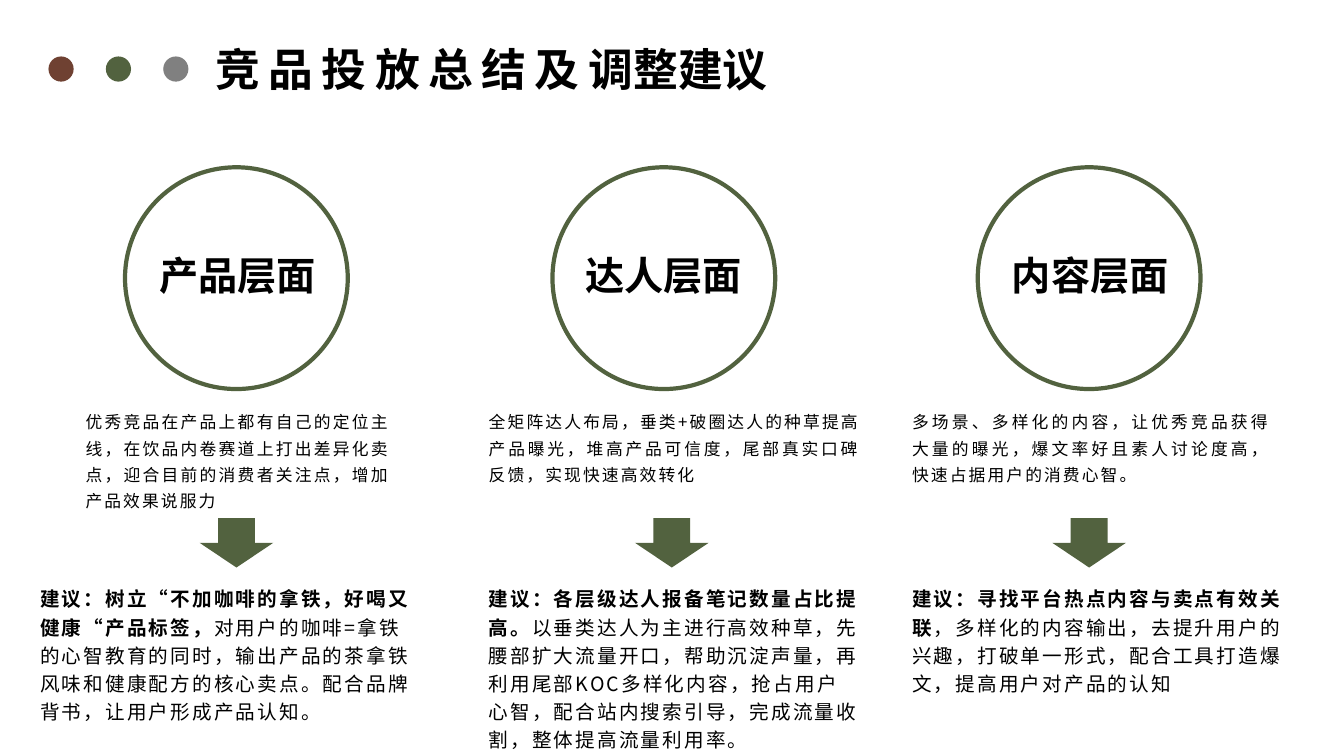
from lxml import etree
from pptx import Presentation
from pptx.dml.color import RGBColor
from pptx.enum.shapes import MSO_SHAPE
from pptx.enum.text import MSO_ANCHOR, MSO_AUTO_SIZE, PP_ALIGN
from pptx.oxml.ns import qn
from pptx.util import Pt

ELLIPSE = MSO_SHAPE.OVAL
DOWN_ARROW = MSO_SHAPE.DOWN_ARROW
TOP = MSO_ANCHOR.TOP
GROW = MSO_AUTO_SIZE.SHAPE_TO_FIT_TEXT
FIXED = MSO_AUTO_SIZE.NONE
LEFT, CENTER, JUSTIFY = PP_ALIGN.LEFT, PP_ALIGN.CENTER, PP_ALIGN.JUSTIFY

GREEN, BROWN, GRAY, BLACK = "52623F", "6F4132", "808080", "000000"


def color(value):
    return RGBColor.from_string(value)


class SlideBuilder:
    font = "Noto Sans CJK SC"

    def __init__(self, slide):
        self.slide = slide

    def shape(self, kind, left, top, width, height, fill=None, line=None):
        shape = self.slide.shapes.add_shape(kind, Pt(left), Pt(top), Pt(width), Pt(height))
        shape.shadow.inherit = False
        if fill:
            shape.fill.solid()
            shape.fill.fore_color.rgb = color(fill)
        else:
            shape.fill.background()
        if line:
            shape.line.color.rgb = color(line)
            shape.line.width = Pt(3)
        else:
            shape.line.fill.background()

    def text(self, left, top, width, height, runs, size, align=LEFT,
             line_spacing=1.0, after=0, bottom=3.6, auto_size=FIXED):
        box = self.slide.shapes.add_textbox(Pt(left), Pt(top), Pt(width), Pt(height))
        frame = box.text_frame
        frame.word_wrap = True
        frame.auto_size = auto_size
        frame.vertical_anchor = TOP
        frame.margin_bottom = Pt(bottom)
        paragraph = frame.paragraphs[0]
        paragraph.alignment = align
        paragraph.line_spacing = line_spacing
        paragraph.space_after = Pt(after)
        for words, bold, tracking in runs:
            self.run(paragraph, words, size, bold, tracking)

    def run(self, paragraph, words, size, bold, tracking):
        run = paragraph.add_run()
        run.text = words
        run.font.size = Pt(size)
        run.font.bold = bold
        run.font.color.rgb = color(BLACK)
        run.font.name = self.font
        properties = run.font._element
        properties.set("spc", str(round(tracking * 100)))
        etree.SubElement(properties, qn("a:ea")).set("typeface", self.font)


LEVELS = [
    {
        "name": "产品层面", "circle": 89.3, "label": 89.3, "arrow": 142.6,
        "finding_at": (54, 231.8), "advice_at": (21.6, 108.7),
        "finding": "优秀竞品在产品上都有自己的定位主线，在饮品内卷赛道上打出差异化卖点，"
                   "迎合目前的消费者关注点，增加产品效果说服力",
        "advice": "建议：树立“不加咖啡的拿铁，好喝又健康“产品标签，",
        "detail": "对用户的咖啡=拿铁的心智教育的同时，输出产品的茶拿铁风味和健康配方的核心卖点。"
                  "配合品牌背书，让用户形成产品认知。",
    },
    {
        "name": "达人层面", "circle": 394.6, "label": 393.8, "arrow": 453.6,
        "finding_at": (342, 279.4), "advice_at": (342, 129.6),
        "finding": "全矩阵达人布局，垂类+破圈达人的种草提高产品曝光，堆高产品可信度，"
                   "尾部真实口碑反馈，实现快速高效转化",
        "advice": "建议：各层级达人报备笔记数量占比提高。",
        "detail": "以垂类达人为主进行高效种草，先腰部扩大流量开口，帮助沉淀声量，"
                  "再利用尾部KOC多样化内容，抢占用户心智，配合站内搜索引导，"
                  "完成流量收割，整体提高流量利用率。",
    },
    {
        "name": "内容层面", "circle": 698.4, "label": 698.4, "arrow": 751.7,
        "finding_at": (644.4, 270), "advice_at": (644.4, 88.6),
        "finding": "多场景、多样化的内容，让优秀竞品获得大量的曝光，爆文率好且素人讨论度高，"
                   "快速占据用户的消费心智。",
        "advice": "建议：寻找平台热点内容与卖点有效关联",
        "detail": "，多样化的内容输出，去提升用户的兴趣，打破单一形式，配合工具打造爆文，"
                  "提高用户对产品的认知",
    },
]


def main():
    deck = Presentation()
    deck.slide_width, deck.slide_height = Pt(960), Pt(540)
    builder = SlideBuilder(deck.slides.add_slide(deck.slide_layouts[6]))

    for index, dot_color in enumerate((BROWN, GREEN, GRAY)):
        builder.shape(ELLIPSE, 34.6 + 41 * index, 40.3, 18, 18, fill=dot_color)
    builder.text(146.9, 26.6, 657.4, 46.1,
                 [("竞品投放总结及", True, 6), ("调整建议", True, 0)], 32, auto_size=GROW)

    for level in LEVELS:
        builder.shape(ELLIPSE, level["circle"], 119.5, 159.1, 158.4, line=GREEN)
        builder.text(level["label"], 175.7, 160.6, 43.2, [(level["name"], True, 0)], 28,
                     align=CENTER, bottom=0)
        finding_left, finding_width = level["finding_at"]
        builder.text(finding_left, 286.6, finding_width, 93.6,
                     [(level["finding"], False, 1.5)], 12,
                     align=JUSTIFY, line_spacing=1.3, after=10)
        builder.shape(DOWN_ARROW, level["arrow"], 370.1, 52.6, 35.3, fill=GREEN)
        advice_left, advice_height = level["advice_at"]
        builder.text(advice_left, 412.6, 279.4, advice_height,
                     [(level["advice"], True, 1.5), (level["detail"], False, 1.5)], 14,
                     line_spacing=1.2, auto_size=GROW)

    deck.save("out.pptx")


if __name__ == "__main__":
    main()
